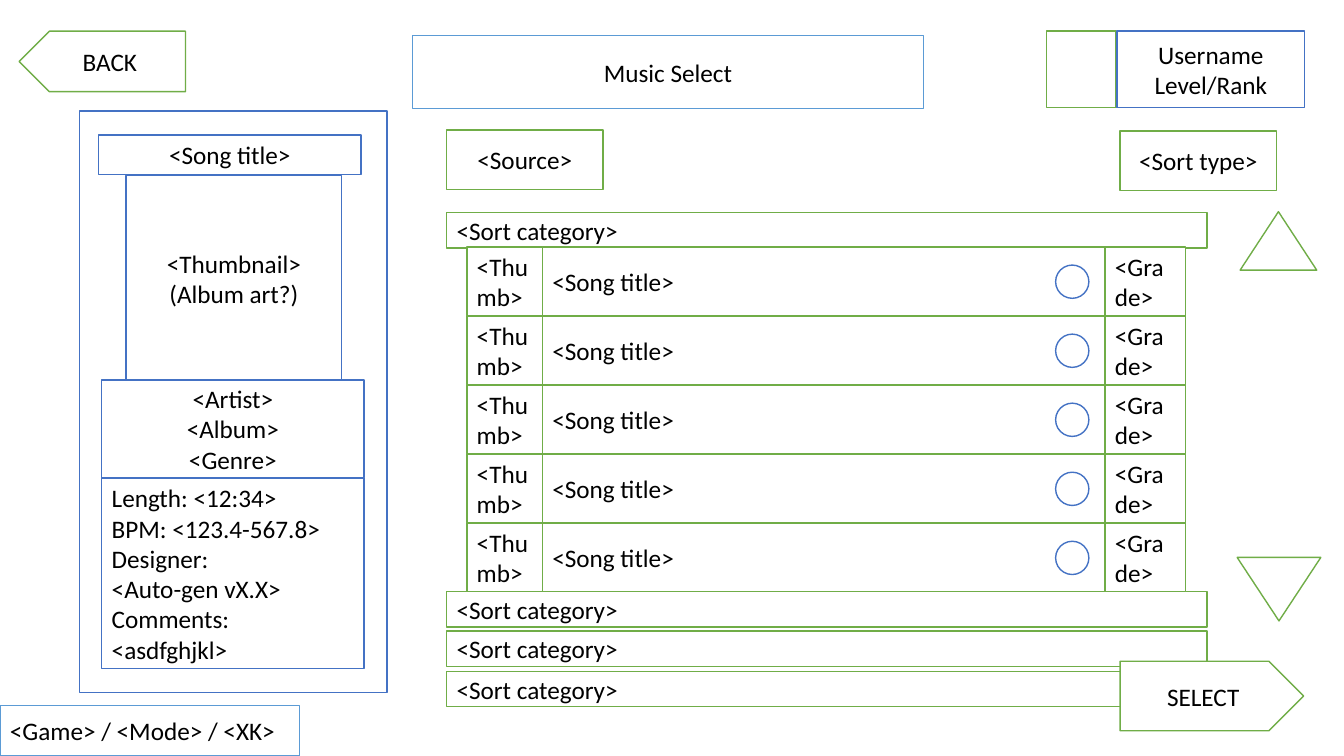
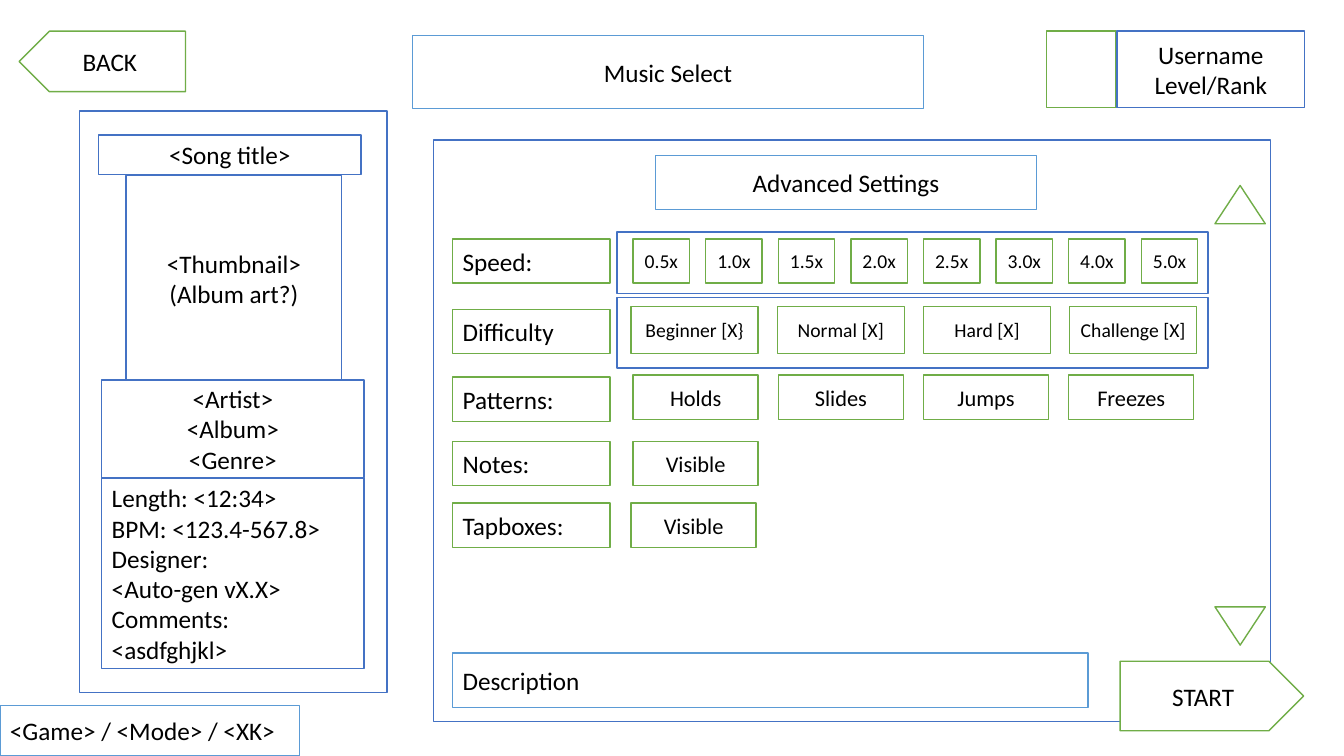
from dataclasses import dataclass

from pptx import Presentation
from pptx.dml.color import RGBColor
from pptx.enum.shapes import MSO_SHAPE
from pptx.enum.text import MSO_ANCHOR, PP_ALIGN
from pptx.shapes.autoshape import Shape
from pptx.slide import Slide
from pptx.util import Inches, Pt

# Shared look
GREEN, BLUE, SKY = "70AD47", "4472C4", "5B9BD5"
WHITE, BLACK = "FFFFFF", "000000"
FRAME = {"word_wrap": True, "vertical_anchor": MSO_ANCHOR.MIDDLE}
FONT = {"name": "Calibri", "size": Pt(18)}
LEFT, CENTER = PP_ALIGN.LEFT, PP_ALIGN.CENTER


@dataclass(frozen=True)
class Box:
    """One outlined shape; newlines part paragraphs, \\v breaks a line."""
    x: float
    y: float
    w: float
    h: float
    line: str = GREEN
    text: str = ""
    align: PP_ALIGN = CENTER
    size: int = 18
    kind: MSO_SHAPE = MSO_SHAPE.RECTANGLE
    anchor: MSO_ANCHOR = MSO_ANCHOR.MIDDLE
    turn: int = 0
    mirrored: bool = False


@dataclass(frozen=True)
class Setting:
    """A label and its row of equally spaced option buttons."""
    label: str
    label_y: float
    options: tuple[str, ...]
    x: float
    y: float
    w: float
    h: float
    pitch: float
    size: int


def color(value: str) -> RGBColor:
    return RGBColor.from_string(value)


def set_all(target: object, values: dict) -> None:
    for name, value in values.items():
        setattr(target, name, value)


def draw(shapes, box: Box) -> Shape:
    s = shapes.add_shape(box.kind, *(Inches(v) for v in (box.x, box.y, box.w, box.h)))
    s.shadow.inherit = False
    s.rotation = box.turn
    s.fill.solid()
    s.fill.fore_color.rgb = color(WHITE)
    s.line.color.rgb = color(box.line)
    s.line.width = Pt(1)
    if box.mirrored:
        s.element.spPr.xfrm.set("flipH", "1")
    if box.text:
        write(s, box)
    return s


def write(s: Shape, box: Box) -> None:
    tf = s.text_frame
    set_all(tf, FRAME | {"vertical_anchor": box.anchor})
    tf.text = box.text
    for p in tf.paragraphs:
        p.alignment = box.align
        for r in p.runs:
            set_all(r.font, FONT | {"size": Pt(box.size)})
            r.font.color.rgb = color(BLACK)


def draw_all(slide: Slide, boxes: tuple[Box, ...]) -> None:
    for box in boxes:
        draw(slide.shapes, box)


# Header, song panel and footer on every screen
COMMON = (
    Box(0.19, 0.31, 1.65, 0.6, text="BACK", kind=MSO_SHAPE.PENTAGON, mirrored=True),
    Box(10.38, 0.31, 0.69, 0.76),
    Box(11.08, 0.31, 1.86, 0.76, BLUE, "Username\vLevel/Rank"),
    Box(4.09, 0.35, 5.07, 0.73, SKY, "Music Select"),
    Box(0.79, 1.1, 3.05, 5.77, BLUE),
    Box(0.98, 1.34, 2.6, 0.39, BLUE, "<Song title>"),
    Box(1.25, 1.74, 2.14, 2.04, BLUE, "<Thumbnail>\v(Album art?)"),
    Box(1.01, 4.74, 2.6, 1.89, BLUE,
        "Length: <12:34>\nBPM: <123.4-567.8>\n"
        "Designer:\v<Auto-gen vX.X>\nComments:\v<asdfghjkl>",
        LEFT, anchor=MSO_ANCHOR.TOP),
    Box(1.01, 3.77, 2.6, 0.97, BLUE, "<Artist>\v<Album>\v<Genre>"),
    Box(0, 7, 2.97, 0.5, SKY, "<Game> / <Mode> / <XK>", LEFT),
)


def add_screen(prs: Presentation, action: str, content: tuple[Box, ...]) -> Slide:
    slide = prs.slides.add_slide(prs.slide_layouts[6])
    draw_all(slide, COMMON + content)
    draw(slide.shapes, Box(11.11, 6.56, 1.82, 0.69, text=action, kind=MSO_SHAPE.PENTAGON))
    return slide


def scroll_arrow(x: float, y: float, w: float, h: float, turn: int = 0) -> Box:
    return Box(x, y, w, h, kind=MSO_SHAPE.ISOSCELES_TRIANGLE, turn=turn)


# Song list
CATEGORY_TOPS = (2.11, 5.87, 6.26, 6.66)
SONG_COUNT, FIRST_SONG, LAST_SONG = 5, 2.45, 5.19
SONG_H = 0.68


def add_song_row(slide: Slide, y: float) -> None:
    row = slide.shapes.add_group_shape().shapes
    for x, w, text in ((5.38, 5.58, "<Song title>"), (4.63, 0.75, "<Thumb>"),
                       (10.96, 0.8, "<Grade>")):
        draw(row, Box(x, y, w, SONG_H, text=text, align=LEFT))
    draw(row, Box(10.47, y + 0.18, 0.33, 0.33, BLUE, kind=MSO_SHAPE.OVAL))


def add_song_list(prs: Presentation) -> None:
    categories = tuple(Box(4.43, y, 7.54, 0.35, text="<Sort category>", align=LEFT)
                       for y in CATEGORY_TOPS)
    slide = add_screen(prs, "SELECT", categories + (
        Box(11.11, 1.3, 1.55, 0.59, text="<Sort type>"),
        Box(4.43, 1.29, 1.55, 0.59, text="<Source>"),
        scroll_arrow(12.3, 2.1, 0.76, 0.58),
        scroll_arrow(12.27, 5.53, 0.83, 0.63, 180),
    ))
    pitch = (LAST_SONG - FIRST_SONG) / (SONG_COUNT - 1)
    for i in range(SONG_COUNT):
        add_song_row(slide, FIRST_SONG + i * pitch)


# Advanced settings
SETTINGS = (
    Setting("Speed:", 2.37,
            ("0.5x", "1.0x", "1.5x", "2.0x", "2.5x", "3.0x", "4.0x", "5.0x"),
            6.28, 2.37, 0.56, 0.44, 0.72, 14),
    Setting("Difficulty", 3.07,
            ("Beginner [X}", "Normal [X]", "Hard [X]", "Challenge [X]"),
            6.26, 3.04, 1.26, 0.47, 1.45, 14),
    Setting("Patterns:", 3.74, ("Holds", "Slides", "Jumps", "Freezes"),
            6.28, 3.72, 1.24, 0.44, 1.44, 16),
    Setting("Notes:", 4.38, ("Visible",), 6.28, 4.38, 1.24, 0.44, 1.44, 16),
    Setting("Tapboxes:", 4.99, ("Visible",), 6.26, 4.99, 1.24, 0.44, 1.44, 16),
)


def add_setting(slide: Slide, row: Setting) -> None:
    draw(slide.shapes, Box(4.49, row.label_y, 1.56, 0.44, text=row.label, align=LEFT))
    for i, option in enumerate(row.options):
        draw(slide.shapes, Box(row.x + i * row.pitch, row.y, row.w, row.h,
                               text=option, size=row.size))


def add_settings(prs: Presentation) -> None:
    slide = add_screen(prs, "START", (
        Box(4.3, 1.39, 8.3, 5.77, BLUE),
        Box(6.12, 2.95, 5.86, 0.7, BLUE),
        Box(6.12, 2.3, 5.86, 0.61, BLUE),
        Box(6.5, 1.54, 3.78, 0.54, SKY, "Advanced Settings"),
        Box(4.49, 6.48, 6.3, 0.54, SKY, "Description", LEFT),
        scroll_arrow(12.05, 1.84, 0.5, 0.38),
        scroll_arrow(12.05, 6.02, 0.5, 0.38, 180),
    ))
    for row in SETTINGS:
        add_setting(slide, row)


prs = Presentation()
prs.slide_width, prs.slide_height = Inches(13.33), Inches(7.5)
add_song_list(prs)
add_settings(prs)
prs.save("out.pptx")
